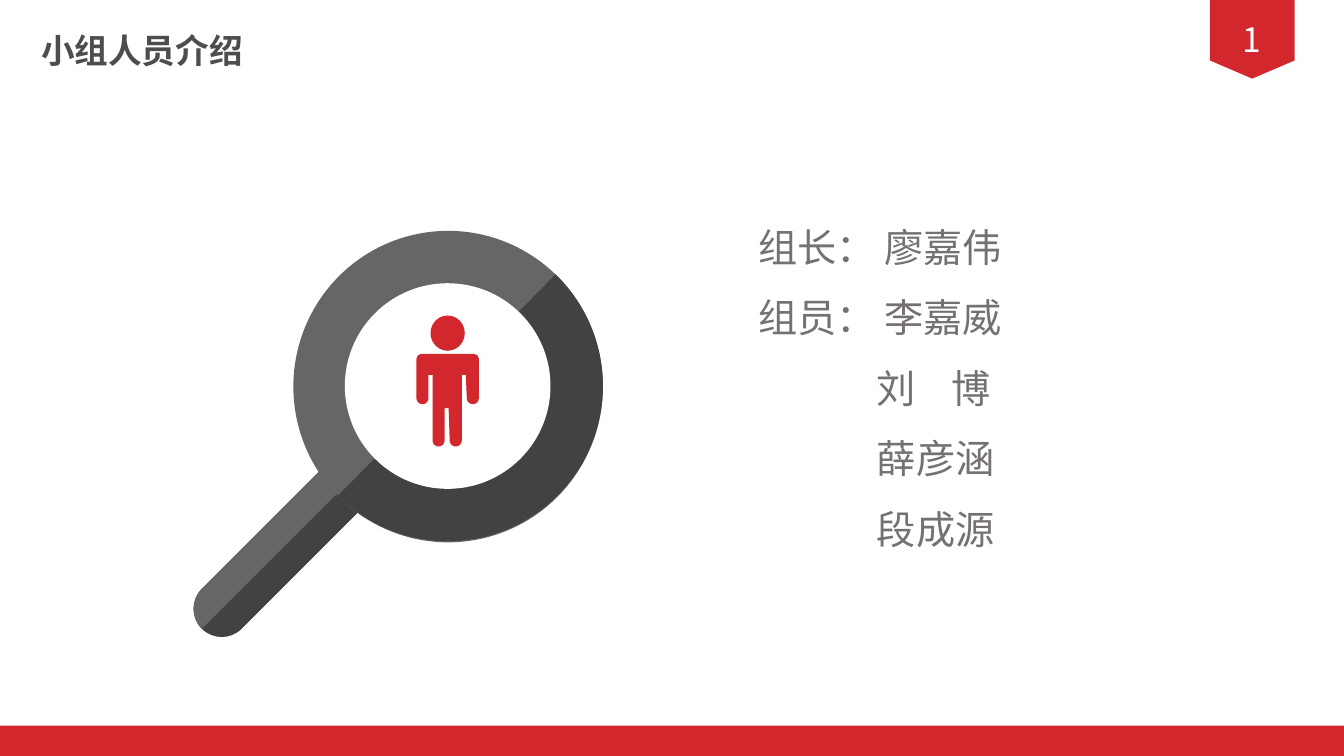
from math import ceil, cos, radians, sin, tan

from pptx import Presentation
from pptx.dml.color import RGBColor
from pptx.enum.shapes import MSO_SHAPE as Preset
from pptx.enum.text import MSO_ANCHOR as Anchor, MSO_AUTO_SIZE as AutoSize, PP_ALIGN as Align
from pptx.oxml.ns import qn
from pptx.util import Pt

PX = 9144
RED = RGBColor(0xD1, 0x27, 0x2D)
WHITE = RGBColor(0xFF, 0xFF, 0xFF)
LIGHT_GREY = RGBColor(0x66, 0x66, 0x66)
DARK_GREY = RGBColor(0x42, 0x42, 0x40)
TITLE_GREY = RGBColor(0x4D, 0x4D, 0x4D)
NAME_GREY = RGBColor(0x76, 0x71, 0x71)


def arc(x, y, radius, start, end):
    count = ceil(abs(end - start) / 90)
    step = radians(end - start) / count
    reach = 4 / 3 * tan(step / 4)
    angles = [radians(start) + step * i for i in range(count + 1)]
    spots = [(x + radius * cos(a), y + radius * sin(a)) for a in angles]
    pulls = [(-radius * reach * sin(a), radius * reach * cos(a)) for a in angles]
    curves = []
    for i in range(count):
        (ax, ay), (bx, by) = spots[i:i + 2]
        (au, av), (bu, bv) = pulls[i:i + 2]
        curves.append([(ax + au, ay + av), (bx - bu, by - bv), (bx, by)])
    return [[spots[0]]] + curves


def corners(*points):
    return [[point] for point in points]


def write(paragraph, text, size=24, color=NAME_GREY, bold=False, align=Align.LEFT,
          spacing=None, indent=0, tracking=0, font="Noto Sans CJK SC"):
    paragraph.alignment = align
    if spacing:
        paragraph.line_spacing = spacing
    if indent:
        properties = paragraph._p.get_or_add_pPr()
        properties.set("marL", str(indent * PX))
        properties.set("indent", "0")
    run = paragraph.add_run()
    run.text = text
    run.font.size = Pt(size)
    run.font.bold = bold
    run.font.name = font
    run.font.color.rgb = color
    style = run._r.get_or_add_rPr()
    if tracking:
        style.set("spc", str(tracking))
    style.append(style.makeelement(qn("a:ea"), {"typeface": font}))


class Canvas:
    def __init__(self, shapes):
        self.shapes = shapes

    def group(self):
        return Canvas(self.shapes.add_group_shape().shapes)

    def paint(self, shape, color):
        shape.shadow.inherit = False
        shape.fill.solid()
        shape.fill.fore_color.rgb = color
        shape.line.fill.background()
        return shape

    def preset(self, kind, x, y, width, height, color):
        shape = self.shapes.add_shape(kind, x * PX, y * PX, width * PX, height * PX)
        return self.paint(shape, color)

    def outline(self, segments, color):
        start, *rest = [(round(x * PX), round(y * PX)) for part in segments for x, y in part]
        builder = self.shapes.build_freeform(*start)
        builder.add_line_segments(rest, close=True)
        shape = builder.convert_to_shape()
        steps = iter(list(shape._element.iter(qn("a:lnTo"))))
        for part in segments[1:]:
            moves = [next(steps) for _ in part]
            if len(moves) == 3:
                curve = moves[0].makeelement(qn("a:cubicBezTo"), {})
                moves[0].addprevious(curve)
                for move in moves:
                    curve.append(move[0])
                    move.getparent().remove(move)
        return self.paint(shape, color)

    def text(self, x, y, width, height, wrap):
        frame = self.shapes.add_textbox(x * PX, y * PX, width * PX, height * PX).text_frame
        frame.word_wrap = wrap
        frame.auto_size = AutoSize.SHAPE_TO_FIT_TEXT
        return frame


def draw_magnifier(canvas):
    lens, rim, glass = (444, 383), 154, 102
    top, end, thickness = (338, 486), (220, 604), 28
    canvas.outline(arc(*top, thickness, 45, -135) + arc(*end, thickness, 225, 45), DARK_GREY)
    canvas.preset(Preset.OVAL, 291, 229, 307, 309, LIGHT_GREY)
    canvas.outline(arc(*lens, rim, -46, 135), DARK_GREY)
    canvas.outline(arc(*lens, glass, 225, 585), WHITE)
    canvas.outline(arc(*top, thickness, -45, -135) + arc(*end, thickness, 225, 135), LIGHT_GREY)


def draw_person(canvas):
    canvas.preset(Preset.OVAL, 427, 313, 34, 35, RED)
    shoulders = arc(418, 356, 5, 180, 270) + arc(470, 356, 5, 270, 360)
    right_arm = arc(469, 395, 6, 0, 180) + corners((462, 372), (458, 372))
    legs = (arc(452, 437, 6, 0, 180) + corners((445, 405), (441, 405))
            + arc(435, 437, 6, 0, 180))
    left_arm = corners((429, 372), (425, 372)) + arc(419, 395, 6, 0, 180)
    canvas.outline(shoulders + right_arm + legs + left_arm, RED)


def main():
    deck = Presentation()
    deck.slide_width, deck.slide_height = 1333 * PX, 750 * PX
    canvas = Canvas(deck.slides.add_slide(deck.slide_layouts[6]).shapes)

    flag = canvas.outline(
        corners((1200, 60), (1200, 0), (1284, 0), (1284, 60), (1242, 78)), RED)
    flag.text_frame.vertical_anchor = Anchor.MIDDLE
    write(flag.text_frame.paragraphs[0], "1", color=WHITE, align=Align.CENTER)
    canvas.preset(Preset.RECTANGLE, 0, 720, 1333, 30, RED)

    emblem = canvas.group()
    draw_magnifier(emblem)
    draw_person(emblem)

    title = canvas.text(31, 25, 220, 50, wrap=False)
    write(title.paragraphs[0], "小组人员介绍", color=TITLE_GREY, bold=True)

    members = canvas.text(742, 193, 267, 363, wrap=True)
    lines = [(["组长： 廖嘉伟"], 0), (["组员： 李嘉威"], 0),
             (["刘", " ", "博"], 118), (["薛彦涵"], 118), (["段成源"], 118)]
    for i, (pieces, indent) in enumerate(lines):
        paragraph = members.add_paragraph() if i else members.paragraphs[0]
        for piece in pieces:
            write(paragraph, piece, size=28, spacing=1.5, indent=indent,
                  tracking=1880 if piece == " " else 0)

    deck.save("out.pptx")


if __name__ == "__main__":
    main()
